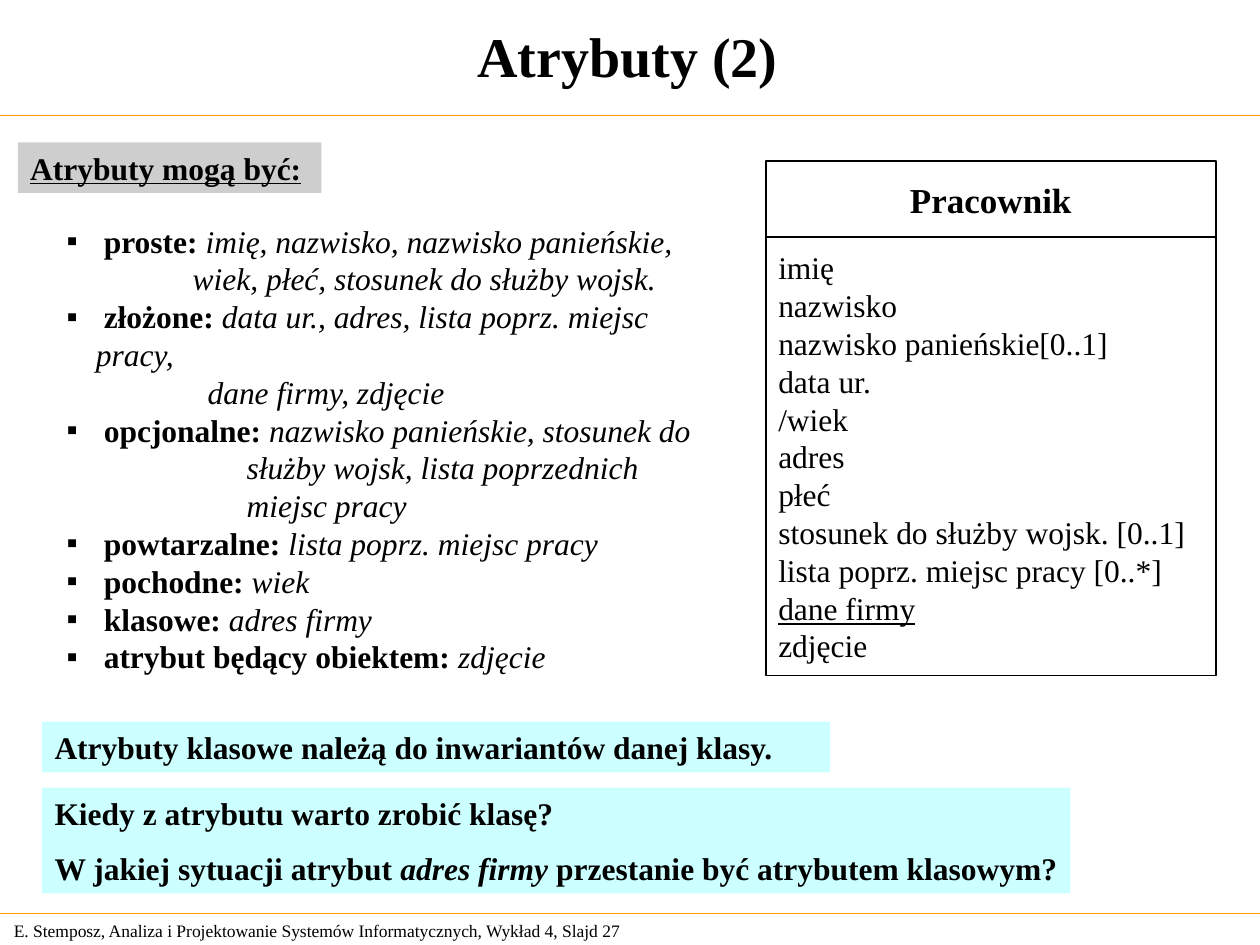
from lxml import etree
from pptx import Presentation
from pptx import util as u
from pptx.dml.color import RGBColor
from pptx.enum import shapes, text
from pptx.oxml import ns

BLACK = RGBColor(0x00, 0x00, 0x00)
ORANGE = RGBColor(0xFF, 0x99, 0x00)
GREY = RGBColor(0xCE, 0xCE, 0xCE)
CYAN = RGBColor(0xCC, 0xFF, 0xFF)
FONT = "Times New Roman"
HANG = u.Cm(0.59)

# Each kind: term, examples, continuation lines, indent of those lines in cm
KINDS = [
    ("proste:", "imię, nazwisko, nazwisko panieńskie,",
     ["wiek, płeć, stosunek do służby wojsk."], 2.54),
    ("złożone:", "data ur., adres, lista poprz. miejsc pracy,",
     ["dane firmy, zdjęcie"], 2.84),
    ("opcjonalne:", "nazwisko panieńskie, stosunek do",
     ["służby wojsk, lista poprzednich", "miejsc pracy"], 3.63),
    ("powtarzalne:", "lista poprz. miejsc pracy", [], 0),
    ("pochodne:", "wiek", [], 0),
    ("klasowe:", "adres firmy", [], 0),
    ("atrybut będący obiektem:", "zdjęcie", [], 0),
]
ATTRIBUTES = [
    "imię", "nazwisko", "nazwisko panieńskie[0..1]", "data ur.", "/wiek",
    "adres", "płeć", "stosunek do służby wojsk. [0..1]",
    "lista poprz. miejsc pracy [0..*]", "dane firmy", "zdjęcie",
]


def place(item, left, top, width, height):
    """Move and size an item, in centimetres."""
    item.left, item.top = u.Cm(left), u.Cm(top)
    item.width, item.height = u.Cm(width), u.Cm(height)


def frame_of(item, anchor):
    """Return the wrapped text frame of an item, anchored as given."""
    frame = item.text_frame
    frame.word_wrap = True
    frame.auto_size = text.MSO_AUTO_SIZE.NONE
    frame.vertical_anchor = anchor
    return frame


def write(frame, runs, size=18, align=text.PP_ALIGN.LEFT, before=0, **style):
    """Add a paragraph of (text, run style) pairs in a common style."""
    line = frame.paragraphs[0]
    if line.runs:
        line = frame.add_paragraph()
    line.alignment = align
    line.line_spacing = u.Pt(size * 1.2)
    line.space_before = u.Pt(before)
    line.font.name, line.font.size = FONT, u.Pt(size)
    line.font.color.rgb = BLACK
    for name, value in style.items():
        setattr(line.font, name, value)
    for words, run_style in runs:
        run = line.add_run()
        run.text = words
        for name, value in run_style.items():
            setattr(run.font, name, value)
    return line


def set_bullet(line, margin, char=None):
    """Give a paragraph a hanging bullet, or a plain indent without one."""
    props = line._p.get_or_add_pPr()
    props.set("marL", str(int(margin)))
    props.set("indent", str(-int(margin) if char else 0))
    bullet = etree.Element(ns.qn("a:buChar" if char else "a:buNone"))
    if char:
        bullet.set("char", char)
    props.find(ns.qn("a:defRPr")).addprevious(bullet)


def add_rule(slide, top, weight):
    """Draw a horizontal rule across the slide."""
    rule = slide.shapes.add_connector(
        shapes.MSO_CONNECTOR.STRAIGHT, 0, u.Cm(top), u.Cm(25.4), u.Cm(top))
    rule.line.color.rgb = ORANGE
    rule.line.width = u.Pt(weight)
    etree.SubElement(rule._element.spPr, ns.qn("a:effectLst"))


def add_panel(slide, box, fill=None, anchor=text.MSO_ANCHOR.TOP):
    """Add a filled or outlined rectangle and return its text frame."""
    panel = slide.shapes.add_shape(
        shapes.MSO_SHAPE.RECTANGLE, *(u.Cm(length) for length in box))
    panel.shadow.inherit = False
    if fill is None:
        panel.fill.background()
        panel.line.color.rgb = BLACK
        panel.line.width = u.Pt(1)
    else:
        panel.fill.solid()
        panel.fill.fore_color.rgb = fill
        panel.line.fill.background()
    frame = frame_of(panel, anchor)
    frame.margin_right = 0 if fill else frame.margin_left
    return frame


def add_kinds(body):
    """List the kinds of attribute with their examples."""
    place(body, 1.09, 4.34, 13.6, 8.64)
    frame = frame_of(body, text.MSO_ANCHOR.TOP)
    for term, examples, more, indent in KINDS:
        line = write(frame, [(f" {term} ", {"bold": True}),
                             (examples, {"italic": True})])
        set_bullet(line, HANG, "▪")
        for words in more:
            set_bullet(write(frame, [(words, {})], italic=True), u.Cm(indent))


def add_class(slide):
    """Draw the class with its name and attributes."""
    middle = text.MSO_ANCHOR.MIDDLE
    name = add_panel(slide, (15.44, 3.25, 9.07, 1.53), anchor=middle)
    write(name, [("Pracownik", {})], 20, text.PP_ALIGN.CENTER, bold=True)
    attributes = add_panel(slide, (15.44, 4.78, 9.07, 8.84), anchor=middle)
    for attribute in ATTRIBUTES:
        write(attributes, [(attribute, {})],
              underline=attribute == "dane firmy")


def main():
    """Build the slide and save it."""
    deck = Presentation()
    deck.slide_width, deck.slide_height = u.Cm(25.4), u.Cm(19.05)
    slide = deck.slides.add_slide(deck.slide_layouts[1])
    title, body = slide.placeholders

    place(title, 0, 0.03, 25.3, 2.16)
    write(frame_of(title, text.MSO_ANCHOR.MIDDLE), [("Atrybuty (2)", {})],
          32, text.PP_ALIGN.CENTER, bold=True)
    add_rule(slide, 2.33, 1)
    add_rule(slide, 18.41, 0.75)
    footer = slide.shapes.add_textbox(0, 0, 0, 0)
    place(footer, 0.03, 18.42, 13.31, 0.68)
    write(frame_of(footer, text.MSO_ANCHOR.MIDDLE),
          [("E. Stemposz, Analiza i Projektowanie Systemów Informatycznych, "
            "Wykład 4, Slajd 27", {})], 10)

    heading = add_panel(slide, (0.36, 2.87, 6.12, 1.02), GREY)
    write(heading, [("Atrybuty mogą być:", {})], bold=True, underline=True)
    add_kinds(body)
    add_class(slide)
    rule = add_panel(slide, (0.85, 14.55, 15.88, 1.02), CYAN)
    write(rule, [("Atrybuty klasowe należą do inwariantów danej klasy.", {})],
          bold=True)
    questions = add_panel(slide, (0.85, 15.88, 20.73, 2.13), CYAN)
    write(questions, [("Kiedy z atrybutu warto zrobić klasę?", {})], bold=True)
    write(questions, [("W jakiej sytuacji atrybut ", {}),
                      ("adres firmy", {"italic": True}),
                      (" przestanie być atrybutem klasowym?", {})],
          before=9.6, bold=True)
    deck.save("out.pptx")


if __name__ == "__main__":
    main()
